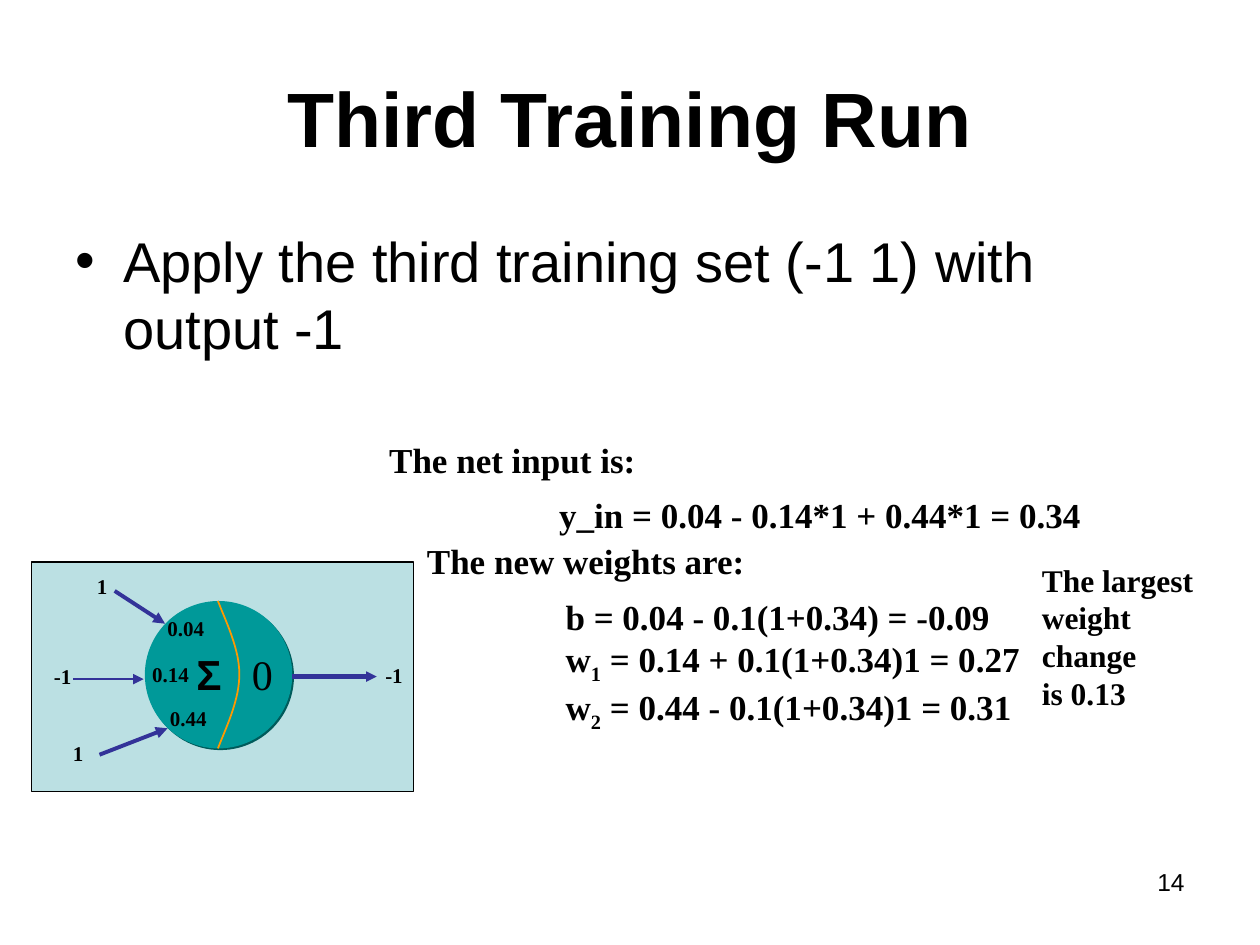
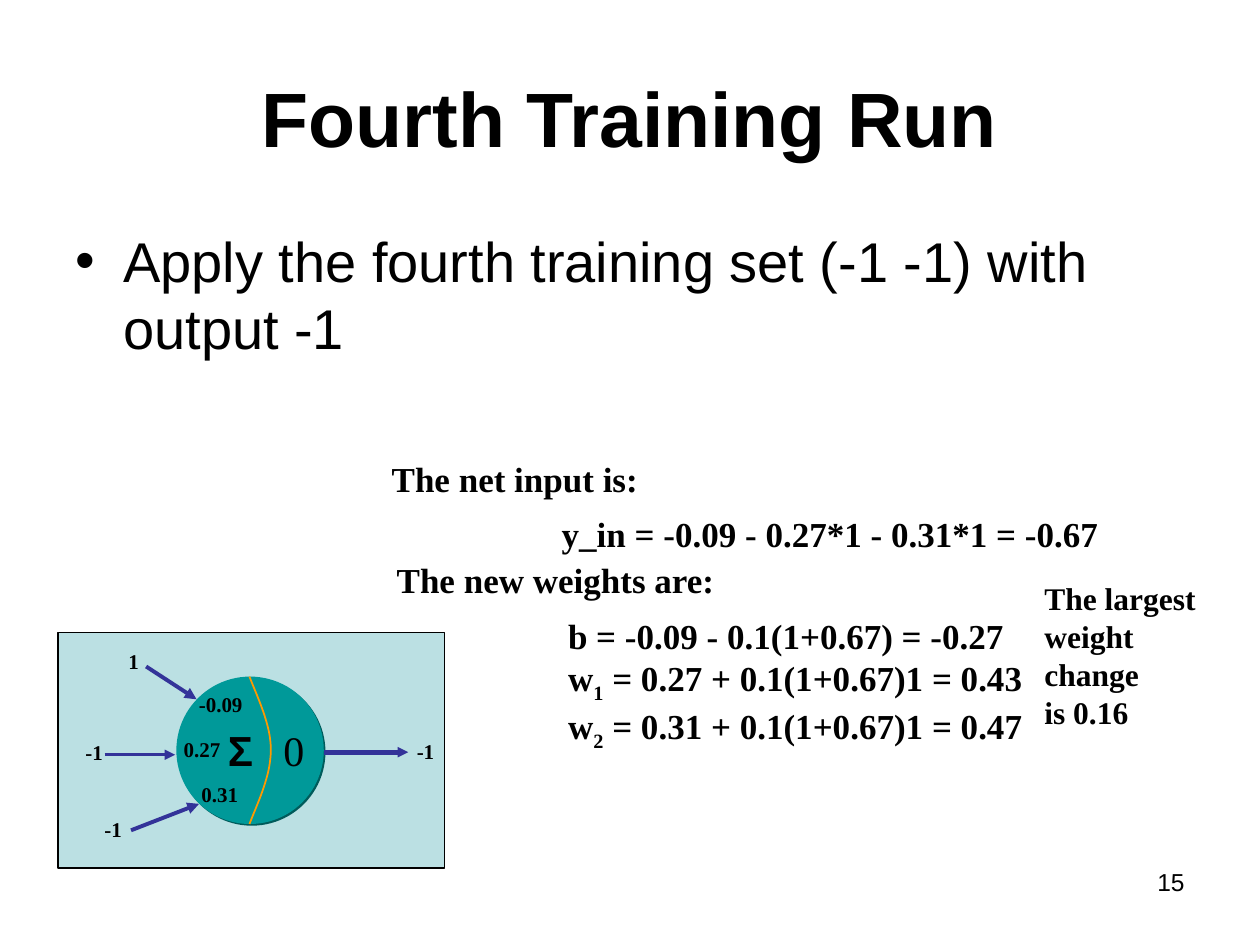
from dataclasses import dataclass

from lxml.etree import SubElement
from pptx import Presentation
from pptx.dml.color import RGBColor
from pptx.enum.shapes import MSO_CONNECTOR, MSO_SHAPE
from pptx.enum.text import MSO_ANCHOR, MSO_AUTO_SIZE, PP_ALIGN
from pptx.oxml.ns import qn
from pptx.util import Emu, Pt

EMU_PER_PX = 9144
SANS = "Arial"
SERIF = "Times New Roman"
BLACK = "000000"
PANEL = "BBE0E3"
NEURON = "009999"
NEURON_SHADOW = "005B5B"
DIVIDER = "FF9900"
ARROW = "333399"
LABEL_WIDTHS = {1: 30, 2: 36, 4: 52, 5: 60}
DIVIDER_CURVES = [
    [(58, 0), (66, 20), (75, 39), (75, 58)],
    [(75, 58), (75, 78), (66, 97), (58, 117)],
]


@dataclass
class TrainingRun:
    number: int
    title: str
    task: str
    panel: tuple
    neuron: tuple
    inputs: tuple
    weights: tuple
    target: str
    equations: tuple
    net_input: str
    weights_heading_left: int
    new_weights: tuple
    largest_change: str


def px(length):
    return Emu(round(length * EMU_PER_PX))


def color(value):
    return RGBColor.from_string(value)


def curve_points(curve, steps=16):
    for step in range(1, steps + 1):
        t = step / steps
        factors = ((1 - t) ** 3, 3 * t * (1 - t) ** 2, 3 * t * t * (1 - t), t ** 3)
        yield tuple(
            sum(factor * point[axis] for factor, point in zip(factors, curve))
            for axis in (0, 1)
        )


class SlideBuilder:
    def __init__(self, presentation):
        self.presentation = presentation
        self.slide = None
        self.shapes = None
        self.origin = (0, 0)

    def start_slide(self, title):
        layout = self.presentation.slide_layouts[5]
        self.slide = self.presentation.slides.add_slide(layout)
        self.end_group()
        shape = self.slide.shapes.title
        shape.left, shape.top, shape.width, shape.height = map(px, (50, 30, 900, 125))
        text_frame = shape.text_frame
        text_frame.text = title
        text_frame.vertical_anchor = MSO_ANCHOR.MIDDLE
        text_frame.paragraphs[0].alignment = PP_ALIGN.CENTER
        self.format_runs(text_frame, 44, SANS, True)

    def start_group(self):
        self.shapes = self.slide.shapes.add_group_shape().shapes

    def end_group(self):
        self.shapes = self.slide.shapes
        self.origin = (0, 0)

    def place(self, left, top):
        return px(left + self.origin[0]), px(top + self.origin[1])

    def format_runs(self, text_frame, size, font, bold):
        for paragraph in text_frame.paragraphs:
            for run in paragraph.runs:
                run.font.size = Pt(size)
                run.font.name = font
                run.font.bold = bold
                run.font.color.rgb = color(BLACK)

    def text(self, box, content, size=20, font=SERIF, bold=True, wrap=False):
        left, top, width, height = box
        shape = self.shapes.add_textbox(*self.place(left, top), px(width), px(height))
        text_frame = shape.text_frame
        text_frame.text = content
        text_frame.word_wrap = wrap
        if not wrap:
            text_frame.auto_size = MSO_AUTO_SIZE.SHAPE_TO_FIT_TEXT
        self.format_runs(text_frame, size, font, bold)
        return text_frame

    def label(self, left, top, content):
        self.text((left, top, LABEL_WIDTHS[len(content)], 30), content, 12)

    def bullet(self, box, content):
        text_frame = self.text(box, content, 32, SANS, False, True)
        properties = text_frame.paragraphs[0]._p.get_or_add_pPr()
        indent = px(38)
        properties.set("marL", str(indent))
        properties.set("indent", str(-indent))
        SubElement(properties, qn("a:buFont"), typeface=SANS)
        SubElement(properties, qn("a:buChar"), char="•")

    def subscripted_lines(self, box, first_line, lines):
        text_frame = self.text(box, first_line)
        for subscript, line in enumerate(lines, 1):
            paragraph = text_frame.add_paragraph()
            for content in ("w", str(subscript), line):
                paragraph.add_run().text = content
            paragraph.runs[1]._r.get_or_add_rPr().set("baseline", "-25000")
        self.format_runs(text_frame, 20, SERIF, True)

    def preset(self, kind, box, fill, line=None):
        left, top, width, height = box
        shape = self.shapes.add_shape(kind, *self.place(left, top), px(width), px(height))
        shape.fill.solid()
        shape.fill.fore_color.rgb = color(fill)
        if line:
            shape.line.color.rgb = color(line)
            shape.line.width = Pt(0.75)
        else:
            shape.line.fill.background()
        shape.shadow.inherit = False
        return shape

    def disc(self, box):
        shape = self.preset(MSO_SHAPE.OVAL, box, NEURON)
        effects = shape._element.spPr.find(qn("a:effectLst"))
        shadow = SubElement(
            effects, qn("a:outerShdw"), blurRad="0", dist=str(Pt(1.4)),
            dir="2700000", algn="ctr", rotWithShape="0",
        )
        SubElement(shadow, qn("a:srgbClr"), val=NEURON_SHADOW)

    def divider(self):
        points = [
            self.place(*point)
            for curve in DIVIDER_CURVES for point in curve_points(curve)
        ]
        builder = self.shapes.build_freeform(*self.place(*DIVIDER_CURVES[0][0]))
        builder.add_line_segments(points, close=False)
        shape = builder.convert_to_shape()
        shape.fill.background()
        shape.line.color.rgb = color(DIVIDER)
        shape.line.width = Pt(1)
        shape.shadow.inherit = False

    def arrow(self, start, end, width, head="med"):
        connector = self.shapes.add_connector(
            MSO_CONNECTOR.STRAIGHT, *self.place(*start), *self.place(*end)
        )
        connector.line.color.rgb = color(ARROW)
        connector.line.width = Pt(width)
        line = connector.line._get_or_add_ln()
        SubElement(line, qn("a:tailEnd"), type="triangle", w=head, len=head)
        SubElement(connector._element.spPr, qn("a:effectLst"))

    def neuron(self, run):
        self.start_group()
        self.preset(MSO_SHAPE.RECTANGLE, run.panel, PANEL, BLACK)
        self.origin = run.neuron
        self.disc((0, 0, 117, 117))
        self.divider()
        self.text((75, 33, 38, 50), "0", 24, bold=False)
        self.text((31, 33, 41, 50), "Σ", 24, SANS)
        for position, weight in zip([(8, 7), (-4, 43), (10, 78)], run.weights):
            self.label(*position, weight)
        for position, value in zip([(-48, -27), (-82, 45), (-67, 106)], run.inputs):
            self.label(*position, value)
        self.label(181, 44, run.target)
        self.arrow((117, 60), (184, 60), 3, "sm")
        self.arrow((-24, -8), (16, 18), 2.25)
        self.arrow((-36, 122), (18, 101), 2.25)
        self.arrow((-57, 62), (-1, 62), 1.5)
        self.end_group()

    def equations(self, run):
        self.origin = run.equations
        self.text((0, 0, 225, 44), "The net input is:")
        self.text((135, 44, 460, 44), run.net_input)
        heading_left = run.weights_heading_left - run.equations[0]
        self.text((heading_left, 80, 280, 44), "The new weights are:")
        bias, *weights = run.new_weights
        self.subscripted_lines((140, 125, 395, 119), bias, weights)
        self.text(
            (518, 97, 159, 130),
            f"The largest weight change\nis {run.largest_change}", 18, wrap=True,
        )
        self.origin = (0, 0)

    def slide_number(self, number):
        text_frame = self.text((717, 683, 233, 52), str(number), 14, SANS, False, True)
        text_frame.paragraphs[0].alignment = PP_ALIGN.RIGHT

    def training_run(self, run):
        self.start_slide(run.title)
        self.bullet((50, 175, 900, 147), run.task)
        self.neuron(run)
        self.equations(run)
        self.slide_number(run.number)


RUNS = [
    TrainingRun(
        number=14,
        title="Third Training Run",
        task="Apply the third training set (-1 1) with output -1",
        panel=(25, 446, 303, 182),
        neuron=(115, 477),
        inputs=("1", "-1", "1"),
        weights=("0.04", "0.14", "0.44"),
        target="-1",
        equations=(299, 343),
        net_input="y_in = 0.04 - 0.14*1 + 0.44*1 = 0.34",
        weights_heading_left=329,
        new_weights=(
            "b = 0.04 - 0.1(1+0.34) = -0.09",
            " = 0.14 + 0.1(1+0.34)1 = 0.27",
            " = 0.44 - 0.1(1+0.34)1 = 0.31",
        ),
        largest_change="0.13",
    ),
    TrainingRun(
        number=15,
        title="Fourth Training Run",
        task="Apply the fourth training set (-1 -1) with output -1",
        panel=(46, 502, 307, 187),
        neuron=(140, 537),
        inputs=("1", "-1", "-1"),
        weights=("-0.09", "0.27", "0.31"),
        target="-1",
        equations=(301, 358),
        net_input="y_in = -0.09 - 0.27*1 - 0.31*1 = -0.67",
        weights_heading_left=305,
        new_weights=(
            "b = -0.09 - 0.1(1+0.67) = -0.27",
            " = 0.27 + 0.1(1+0.67)1 = 0.43",
            " = 0.31 + 0.1(1+0.67)1 = 0.47",
        ),
        largest_change="0.16",
    ),
]


def main():
    presentation = Presentation()
    presentation.slide_width = px(1000)
    presentation.slide_height = px(750)
    builder = SlideBuilder(presentation)
    for run in RUNS:
        builder.training_run(run)
    presentation.save("out.pptx")


if __name__ == "__main__":
    main()
